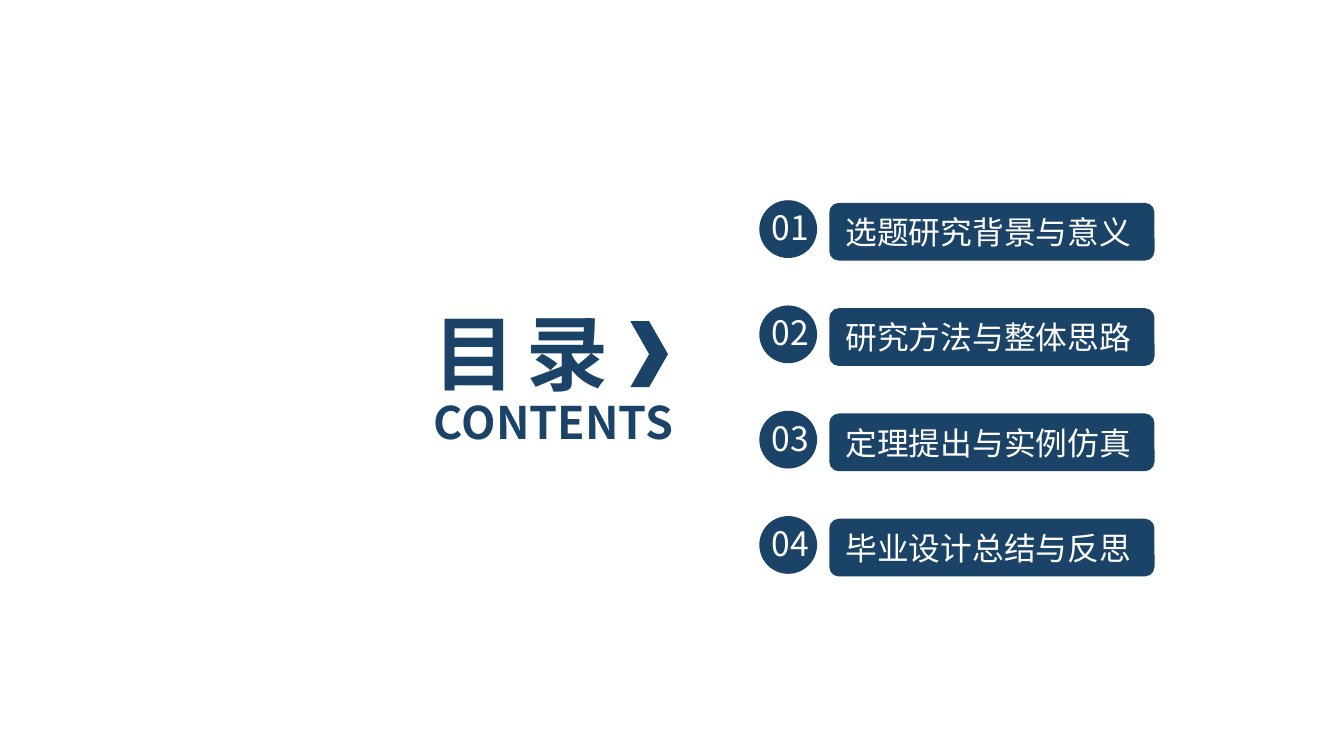
from typing import NamedTuple

from lxml import etree
from pptx import Presentation
from pptx.dml.color import RGBColor
from pptx.enum.shapes import MSO_SHAPE
from pptx.enum.text import MSO_ANCHOR, PP_ALIGN
from pptx.oxml.ns import qn
from pptx.util import Inches, Pt

ROUNDED, OVAL, CHEVRON = MSO_SHAPE.ROUNDED_RECTANGLE, MSO_SHAPE.OVAL, MSO_SHAPE.CHEVRON
LEFT, CENTER = PP_ALIGN.LEFT, PP_ALIGN.CENTER
MIDDLE = MSO_ANCHOR.MIDDLE
FONT = "Noto Sans CJK SC"
COLORS = {"navy": "1B4367", "white": "FFFFFF"}
PAGE_WIDTH = 10
PAGE_HEIGHT = PAGE_WIDTH * 9 / 16
TOPICS = ["选题研究背景与意义", "研究方法与整体思路", "定理提出与实例仿真", "毕业设计总结与反思"]
FIRST_TOP, LAST_TOP, ROW_HEIGHT = 1.51, 3.86, 0.43
ROW_STEP = (LAST_TOP - FIRST_TOP) / (len(TOPICS) - 1)


class Area(NamedTuple):
    left: float
    top: float
    width: float
    height: float

    def lengths(self) -> list:
        return [Inches(value) for value in self]


def add_shape(page, kind, area: Area):
    shape = page.shapes.add_shape(kind, *area.lengths())
    shape.shadow.inherit = False
    shape.fill.solid()
    shape.fill.fore_color.rgb = RGBColor.from_string(COLORS["navy"])
    shape.line.fill.background()
    return shape


def write(box, text: str, *, size: float, color: str, bold: bool = False,
          align=LEFT, wrap: bool = True, spacing: float = 0) -> None:
    """Fill a box with one line; spacing is the extra gap between letters in points."""
    frame = box.text_frame
    frame.word_wrap = wrap
    frame.vertical_anchor = MIDDLE
    para = frame.paragraphs[0]
    para.alignment = align
    span = para.add_run()
    span.text = text
    span.font.size = Pt(size)
    span.font.bold = bold
    span.font.name = FONT
    span.font.color.rgb = RGBColor.from_string(COLORS[color])
    properties = span.font._element
    etree.SubElement(properties, qn("a:ea")).set("typeface", FONT)
    if spacing:
        properties.set("spc", str(round(spacing * 100)))


def add_text(page, area: Area, text: str, **style) -> None:
    write(page.shapes.add_textbox(*area.lengths()), text, **style)


def add_topic(page, index: int, topic: str) -> None:
    top = FIRST_TOP + index * ROW_STEP
    label = add_shape(page, ROUNDED, Area(6.17, top, 2.42, ROW_HEIGHT))
    write(label, topic, size=17, color="white", wrap=False)
    add_shape(page, OVAL, Area(5.65, top - 0.02, ROW_HEIGHT, ROW_HEIGHT))
    add_text(page, Area(5.62, top - 0.02, 0.52, 0.4), f"{index + 1:02}",
             size=18, color="white", align=CENTER)


def main() -> None:
    deck = Presentation()
    deck.slide_width, deck.slide_height = Inches(PAGE_WIDTH), Inches(PAGE_HEIGHT)
    page = deck.slides.add_slide(deck.slide_layouts[6])
    add_text(page, Area(3.13, 2.2, 2.35, 0.84), "目 录",
             size=44, color="navy", bold=True, spacing=-2.2)
    add_text(page, Area(3.13, 2.89, 2.31, 0.5), "CONTENTS",
             size=24, color="navy", bold=True)
    for index, topic in enumerate(TOPICS):
        add_topic(page, index, topic)
    add_shape(page, CHEVRON, Area(4.69, 2.39, 0.28, 0.49))
    deck.save("out.pptx")


if __name__ == "__main__":
    main()
